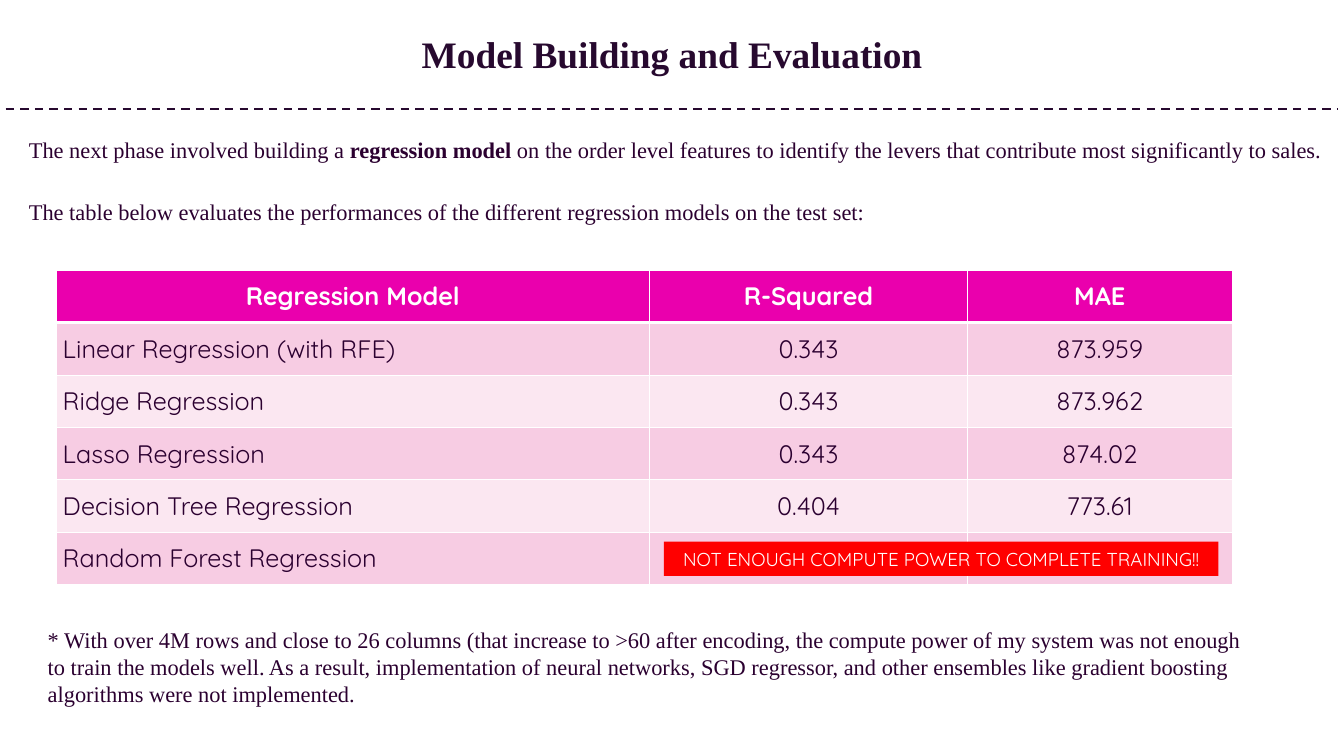
"""Build the model evaluation slide with its table of regression results."""
from lxml.etree import SubElement
from pptx import Presentation
from pptx.dml.color import RGBColor
from pptx.enum.dml import MSO_LINE
from pptx.enum.shapes import MSO_CONNECTOR, MSO_SHAPE
from pptx.enum.text import MSO_ANCHOR as ANCHOR, PP_ALIGN as ALIGN
from pptx.oxml import parse_xml
from pptx.oxml.ns import nsdecls, qn
from pptx.util import Pt

COLORS = {
    "title": "27092F", "body": "2B0030", "white": "FFFFFF", "header": "EA00AD",
    "odd_row": "F7CCE3", "even_row": "FBE7F1", "alert": "FF0000",
}
SERIF, SANS = "Times New Roman", "Quicksand"
INTRO = [
    [("The next phase involved building a ", False), ("regression model ", True),
     ("on the order level features to identify the levers that contribute most "
      "significantly to sales.", False)],
    [("The table below evaluates the performances of the different regression "
      "models on the test set:", False)],
]
FOOTNOTE = (
    "* With over 4M rows and close to 26 columns (that increase to >60 after encoding, "
    "the compute power of my system was not enough to train the models well. As a result, "
    "implementation of neural networks, SGD regressor, and other ensembles like gradient "
    "boosting algorithms were not implemented."
)
RESULTS = [
    ("Regression Model", "R-Squared", "MAE"),
    ("Linear Regression (with RFE)", "0.343", "873.959"),
    ("Ridge Regression", "0.343", "873.962"),
    ("Lasso Regression", "0.343", "874.02"),
    ("Decision Tree Regression", "0.404", "773.61"),
    ("Random Forest Regression", "", ""),
]
COLUMN_WIDTHS = (636, 340.5, 283.5)
ROW_HEIGHT = 56.15


def color(name):
    return RGBColor.from_string(COLORS[name])


def style_font(paragraph, name, size, color_name, bold=False):
    font = paragraph.font
    font.name, font.size, font.bold = name, Pt(size), bold
    font.color.rgb = color(color_name)


def add_text_box(slide, left, top, width, height):
    box = slide.shapes.add_textbox(Pt(left), Pt(top), Pt(width), Pt(height))
    box.text_frame.word_wrap = True
    return box.text_frame


def add_title(slide):
    frame = add_text_box(slide, 44, 42.5, 1352, 42)
    frame.vertical_anchor = ANCHOR.MIDDLE
    frame.margin_left = frame.margin_right = Pt(3)
    frame.margin_top = frame.margin_bottom = Pt(3)
    paragraph = frame.paragraphs[0]
    paragraph.text = "Model Building and Evaluation"
    paragraph.alignment = ALIGN.CENTER
    paragraph.line_spacing = Pt(35)
    style_font(paragraph, SERIF, 40, "title", True)


def add_divider(slide):
    line = slide.shapes.add_connector(
        MSO_CONNECTOR.STRAIGHT, Pt(6), Pt(116.7), Pt(1434), Pt(116.7))
    line.line.color.rgb = color("title")
    line.line.width = Pt(2.25)
    line.line.dash_style = MSO_LINE.DASH
    SubElement(line._element.spPr, qn("a:effectLst"))


def add_intro(slide):
    frame = add_text_box(slide, 23.8, 127.4, 1412.6, 111)
    for index, runs in enumerate(INTRO):
        paragraph = frame.add_paragraph() if index else frame.paragraphs[0]
        paragraph.line_spacing = 1.5
        if index:
            paragraph.space_before = Pt(24)
        style_font(paragraph, SERIF, 24, "body")
        for text, bold in runs:
            run = paragraph.add_run()
            run.text = text
            run.font.bold = bold


def set_borders(cell, top, bottom):
    properties = cell._tc.get_or_add_tcPr()
    widths = {"lnL": 1, "lnR": 1, "lnT": top, "lnB": bottom}
    for index, (side, width) in enumerate(widths.items()):
        properties.insert(index, parse_xml(
            f'<a:{side} {nsdecls("a")} w="{Pt(width)}"><a:solidFill>'
            f'<a:srgbClr val="{COLORS["white"]}"/></a:solidFill></a:{side}>'))


def fill_cell(cell, text, row, column):
    header = row == 0
    fill_name = "header" if header else "odd_row" if row % 2 else "even_row"
    cell.fill.solid()
    cell.fill.fore_color.rgb = color(fill_name)
    set_borders(cell, top=3 if row == 1 else 1, bottom=3 if header else 1)
    cell.vertical_anchor = ANCHOR.MIDDLE
    paragraph = cell.text_frame.paragraphs[0]
    paragraph.text = text
    paragraph.alignment = ALIGN.CENTER if header or column else ALIGN.LEFT
    style_font(paragraph, SANS, 27, "white" if header else "body", header)


def add_results_table(slide):
    table = slide.shapes.add_table(
        len(RESULTS), len(COLUMN_WIDTHS), Pt(60), Pt(289.5),
        Pt(sum(COLUMN_WIDTHS)), Pt(ROW_HEIGHT * len(RESULTS))).table
    for column, width in zip(table.columns, COLUMN_WIDTHS):
        column.width = Pt(width)
    for row, values in enumerate(RESULTS):
        table.rows[row].height = Pt(ROW_HEIGHT)
        for column, text in enumerate(values):
            fill_cell(table.cell(row, column), text, row, column)


def add_alert(slide):
    shape = slide.shapes.add_shape(
        MSO_SHAPE.RECTANGLE, Pt(711.4), Pt(580.3), Pt(594), Pt(36.7))
    shape.shadow.inherit = False
    shape.fill.solid()
    shape.fill.fore_color.rgb = color("alert")
    shape.line.fill.background()
    shape.text_frame.word_wrap = True
    shape.text_frame.vertical_anchor = ANCHOR.MIDDLE
    paragraph = shape.text_frame.paragraphs[0]
    paragraph.text = "NOT ENOUGH COMPUTE POWER TO COMPLETE TRAINING!!"
    paragraph.alignment = ALIGN.CENTER
    style_font(paragraph, SANS, 20, "white")


def add_footnote(slide):
    paragraph = add_text_box(slide, 44, 667.5, 1309.7, 94.3).paragraphs[0]
    paragraph.text = FOOTNOTE
    style_font(paragraph, SERIF, 24, "body")


def main():
    presentation = Presentation()
    presentation.slide_width, presentation.slide_height = Pt(1440), Pt(810)
    slide = presentation.slides.add_slide(presentation.slide_layouts[6])
    add_divider(slide)
    add_title(slide)
    add_intro(slide)
    add_results_table(slide)
    add_alert(slide)
    add_footnote(slide)
    presentation.save("out.pptx")


if __name__ == "__main__":
    main()
